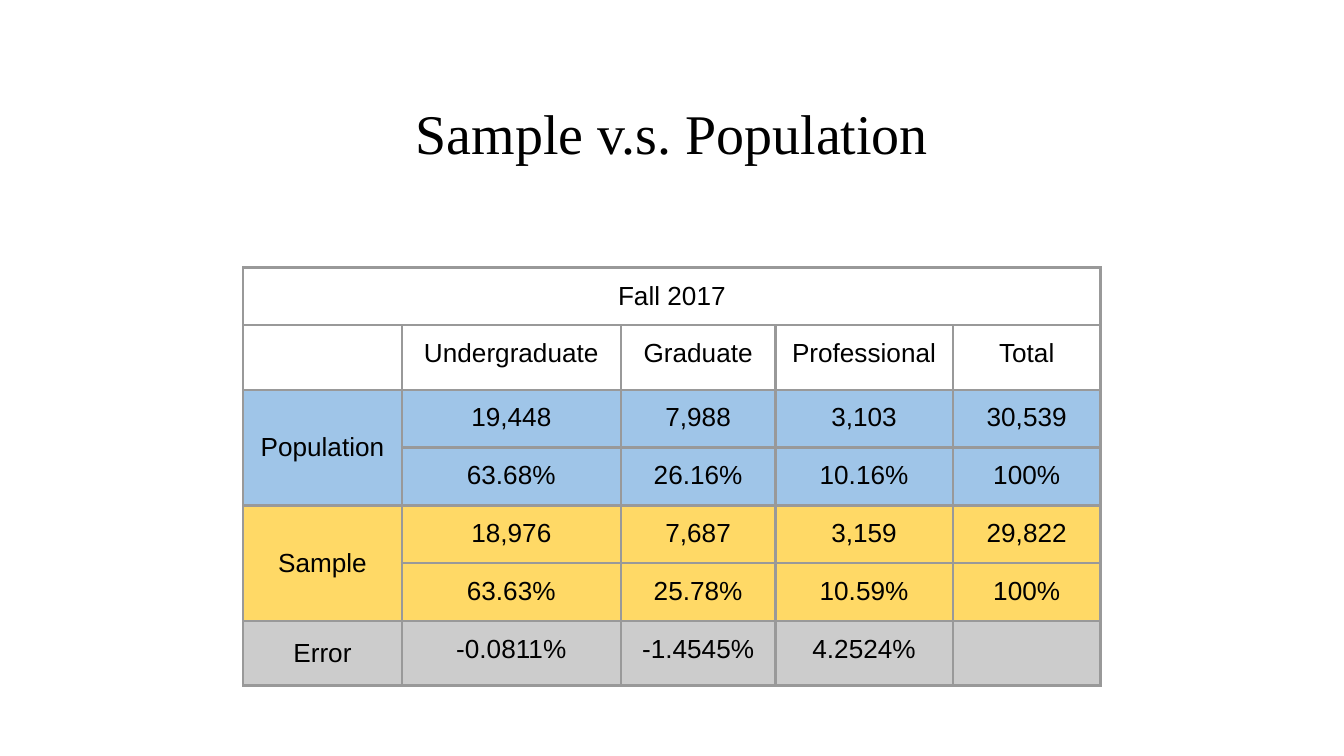
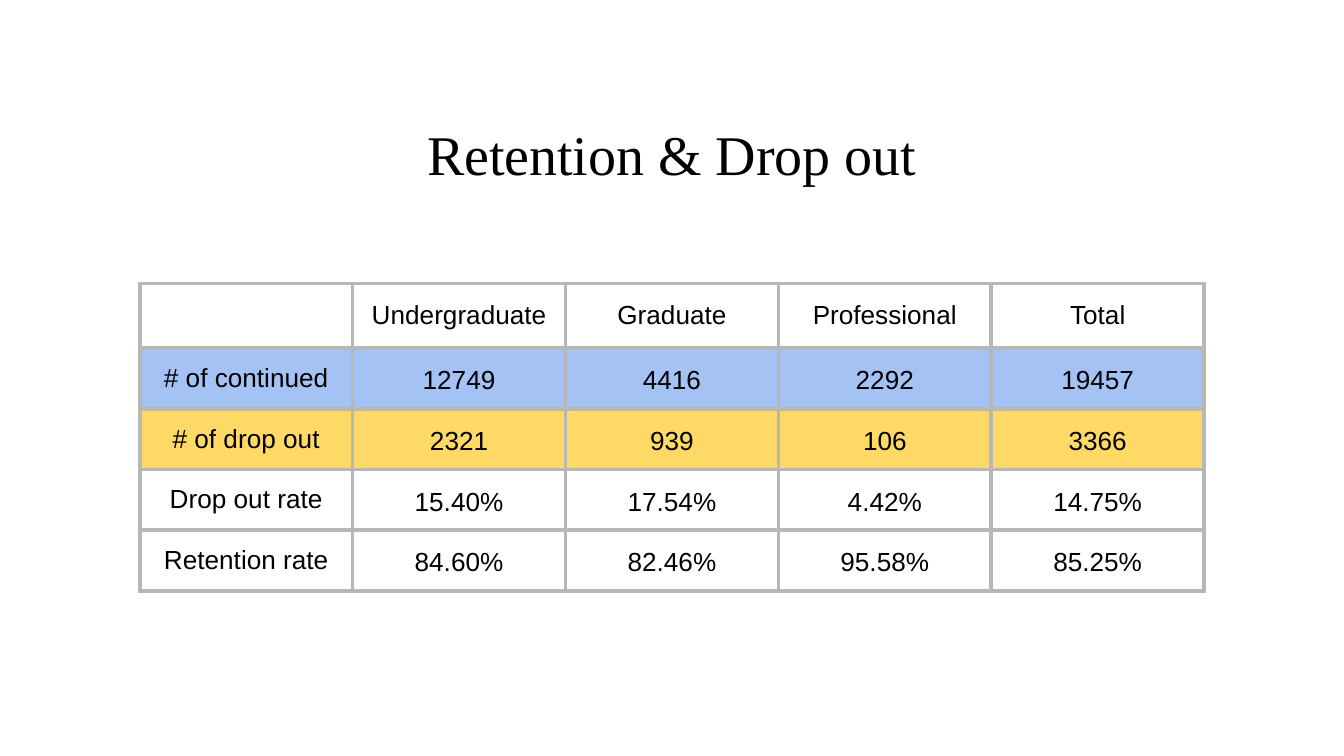
from dataclasses import dataclass

from lxml.etree import SubElement
from pptx import Presentation
from pptx.dml.color import RGBColor
from pptx.enum.text import MSO_ANCHOR as Anchor, MSO_AUTO_SIZE as AutoSize, PP_ALIGN as Align
from pptx.oxml.ns import qn
from pptx.slide import Slide
from pptx.table import _Cell as Cell
from pptx.text.text import Font
from pptx.util import Inches, Pt

SLIDE_WIDTH = 10
SLIDE_HEIGHT = SLIDE_WIDTH * 9 / 16
BLACK, WHITE = "000000", "FFFFFF"
SKY, PERIWINKLE, YELLOW, GRAY = "9FC5E8", "A4C2F4", "FFD966", "CCCCCC"
TITLE_FONT, TABLE_FONT = "Times New Roman", "Arial"
TITLE_SIZE, TABLE_SIZE, EMPTY_SIZE = 30, 14, 18
INSET = Inches(0.1)
LEVELS = ("Undergraduate", "Graduate", "Professional", "Total")


@dataclass(frozen=True)
class Title:
    text: str
    left: float
    top: float
    width: float
    height: float
    anchor: Anchor


@dataclass(frozen=True)
class Row:
    cells: tuple[str, ...]
    fill: str | None = None


@dataclass(frozen=True)
class DataTable:
    left: float
    top: float
    column_widths: tuple[float, ...]
    row_height: float
    border_color: str
    border_width: float
    rows: tuple[Row, ...]
    merges: tuple[tuple[int, int, int, int], ...] = ()
    value_anchor: Anchor = Anchor.MIDDLE
    value_spacing: float = 1.0


SAMPLE_TITLE = Title("Sample v.s. Population", 1.79, 0.56, 6.42, 0.84, Anchor.MIDDLE)
SAMPLE_TABLE = DataTable(
    1.81, 1.99, (1.18, 1.63, 1.15, 1.32, 1.1), 0.43, "999999", 1.5,
    rows=(
        Row(("Fall 2017", "", "", "", "")),
        Row(("", *LEVELS)),
        Row(("Population", "19,448", "7,988", "3,103", "30,539"), SKY),
        Row(("", "63.68%", "26.16%", "10.16%", "100%"), SKY),
        Row(("Sample", "18,976", "7,687", "3,159", "29,822"), YELLOW),
        Row(("", "63.63%", "25.78%", "10.59%", "100%"), YELLOW),
        Row(("Error", "-0.0811%", "-1.4545%", "4.2524%", ""), GRAY),
    ),
    merges=((0, 0, 0, 4), (2, 0, 3, 0), (4, 0, 5, 0)),
    value_anchor=Anchor.TOP,
)

RETENTION_TITLE = Title("Retention & Drop out", 1.93, 0.79, 6.14, 0.72, Anchor.TOP)
RETENTION_TABLE = DataTable(
    1.04, 2.11, (7.92 / 5,) * 5, 0.42, "B7B7B7", 2.25,
    rows=(
        Row(("", *LEVELS)),
        Row(("# of continued", "12749", "4416", "2292", "19457"), PERIWINKLE),
        Row(("# of drop out", "2321", "939", "106", "3366"), YELLOW),
        Row(("Drop out rate", "15.40%", "17.54%", "4.42%", "14.75%")),
        Row(("Retention rate", "84.60%", "82.46%", "95.58%", "85.25%")),
    ),
    value_spacing=1.15,
)


def rgb(color: str) -> RGBColor:
    return RGBColor.from_string(color)


def style_font(font: Font, name: str, size: float) -> None:
    font.name, font.size = name, Pt(size)
    font.color.rgb = rgb(BLACK)


def set_insets(target) -> None:
    target.margin_left = target.margin_right = INSET
    target.margin_top = target.margin_bottom = INSET


def add_title(slide: Slide, title: Title) -> None:
    shape = slide.shapes.title
    shape.left, shape.top = Inches(title.left), Inches(title.top)
    shape.width, shape.height = Inches(title.width), Inches(title.height)
    frame = shape.text_frame
    frame.text = title.text
    frame.word_wrap = True
    frame.auto_size = AutoSize.NONE
    frame.vertical_anchor = title.anchor
    set_insets(frame)
    paragraph = frame.paragraphs[0]
    paragraph.alignment = Align.CENTER
    style_font(paragraph.runs[0].font, TITLE_FONT, TITLE_SIZE)


def set_borders(cell: Cell, color: str, width: float) -> None:
    properties = cell._tc.get_or_add_tcPr()
    for side in ("a:lnL", "a:lnR", "a:lnT", "a:lnB"):
        line = SubElement(properties, qn(side), w=str(Pt(width)))
        fill = SubElement(line, qn("a:solidFill"))
        SubElement(fill, qn("a:srgbClr"), val=color)


def fill_cell(cell: Cell, color: str | None) -> None:
    if color:
        cell.fill.solid()
        cell.fill.fore_color.rgb = rgb(color)
    else:
        cell.fill.background()


def write_cell(cell: Cell, text: str, spacing: float) -> None:
    """Write centred text; an empty cell keeps the larger size that sets its row height."""
    paragraph = cell.text_frame.paragraphs[0]
    if not text:
        end = SubElement(paragraph._p, qn("a:endParaRPr"), sz=str(EMPTY_SIZE * 100))
        SubElement(end, qn("a:latin"), typeface=TABLE_FONT)
        return
    paragraph.text = text
    paragraph.alignment = Align.CENTER
    paragraph.line_spacing = spacing
    style_font(paragraph.runs[0].font, TABLE_FONT, TABLE_SIZE)


def add_data_table(slide: Slide, data: DataTable) -> None:
    row_count, column_count = len(data.rows), len(data.column_widths)
    table = slide.shapes.add_table(
        row_count, column_count, Inches(data.left), Inches(data.top),
        Inches(sum(data.column_widths)), Inches(data.row_height * row_count),
    ).table
    table.first_row = table.horz_banding = False
    for column, width in zip(table.columns, data.column_widths):
        column.width = Inches(width)
    for row_index, row in enumerate(data.rows):
        table.rows[row_index].height = Inches(data.row_height)
        for column_index, text in enumerate(row.cells):
            cell = table.cell(row_index, column_index)
            is_label = column_index == 0
            is_heading = is_label or row.cells[1:] == LEVELS
            set_insets(cell)
            cell.vertical_anchor = Anchor.MIDDLE if is_label else data.value_anchor
            write_cell(cell, text, 1.0 if is_heading else data.value_spacing)
            set_borders(cell, data.border_color, data.border_width)
            fill_cell(cell, row.fill)
    for top, left, bottom, right in data.merges:
        table.cell(top, left).merge(table.cell(bottom, right))


def main() -> None:
    presentation = Presentation()
    presentation.slide_width = Inches(SLIDE_WIDTH)
    presentation.slide_height = Inches(SLIDE_HEIGHT)
    title_only = presentation.slide_layouts[5]
    for title, data in ((SAMPLE_TITLE, SAMPLE_TABLE), (RETENTION_TITLE, RETENTION_TABLE)):
        slide = presentation.slides.add_slide(title_only)
        slide.background.fill.solid()
        slide.background.fill.fore_color.rgb = rgb(WHITE)
        add_title(slide, title)
        add_data_table(slide, data)
    presentation.save("out.pptx")


if __name__ == "__main__":
    main()
